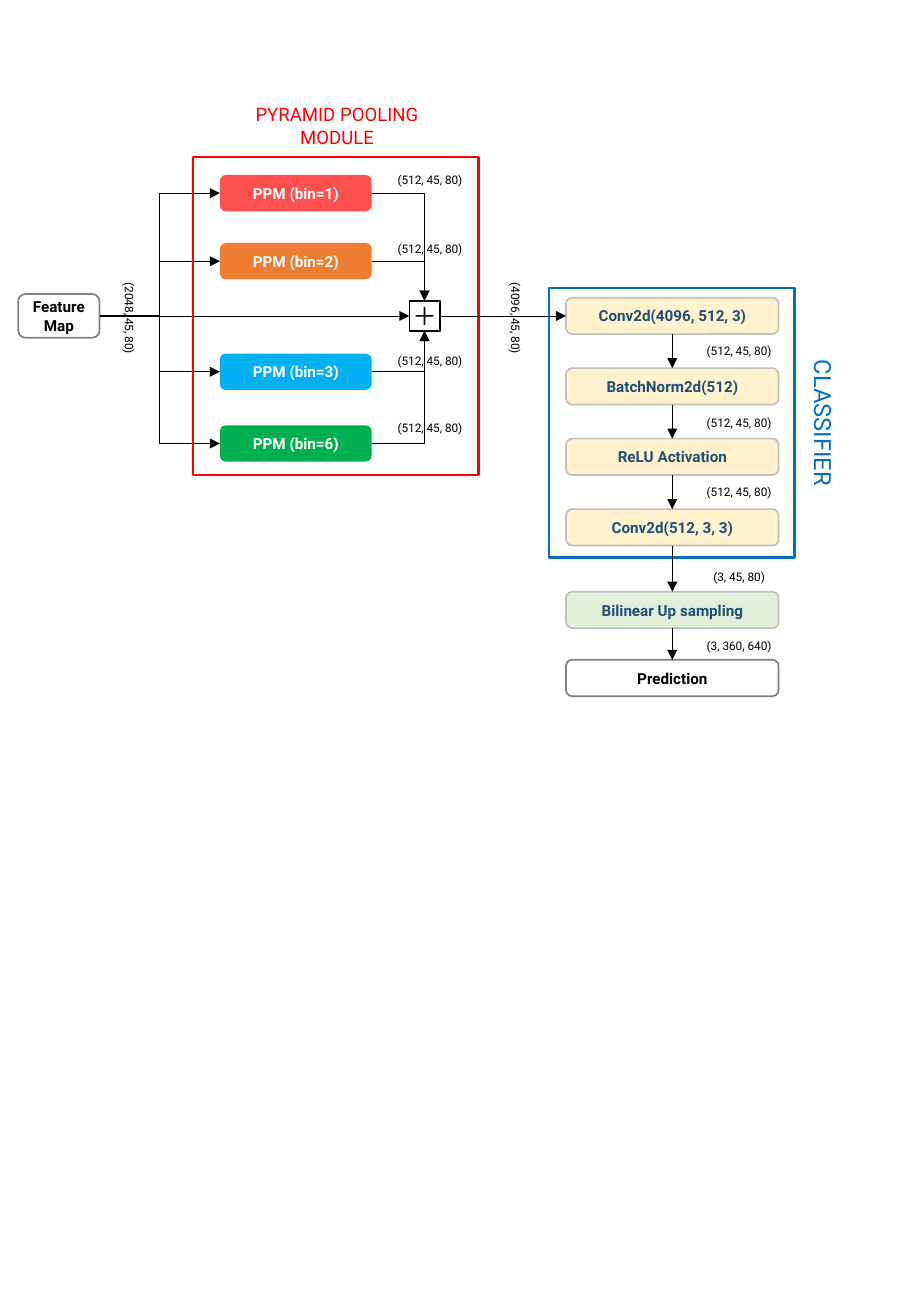
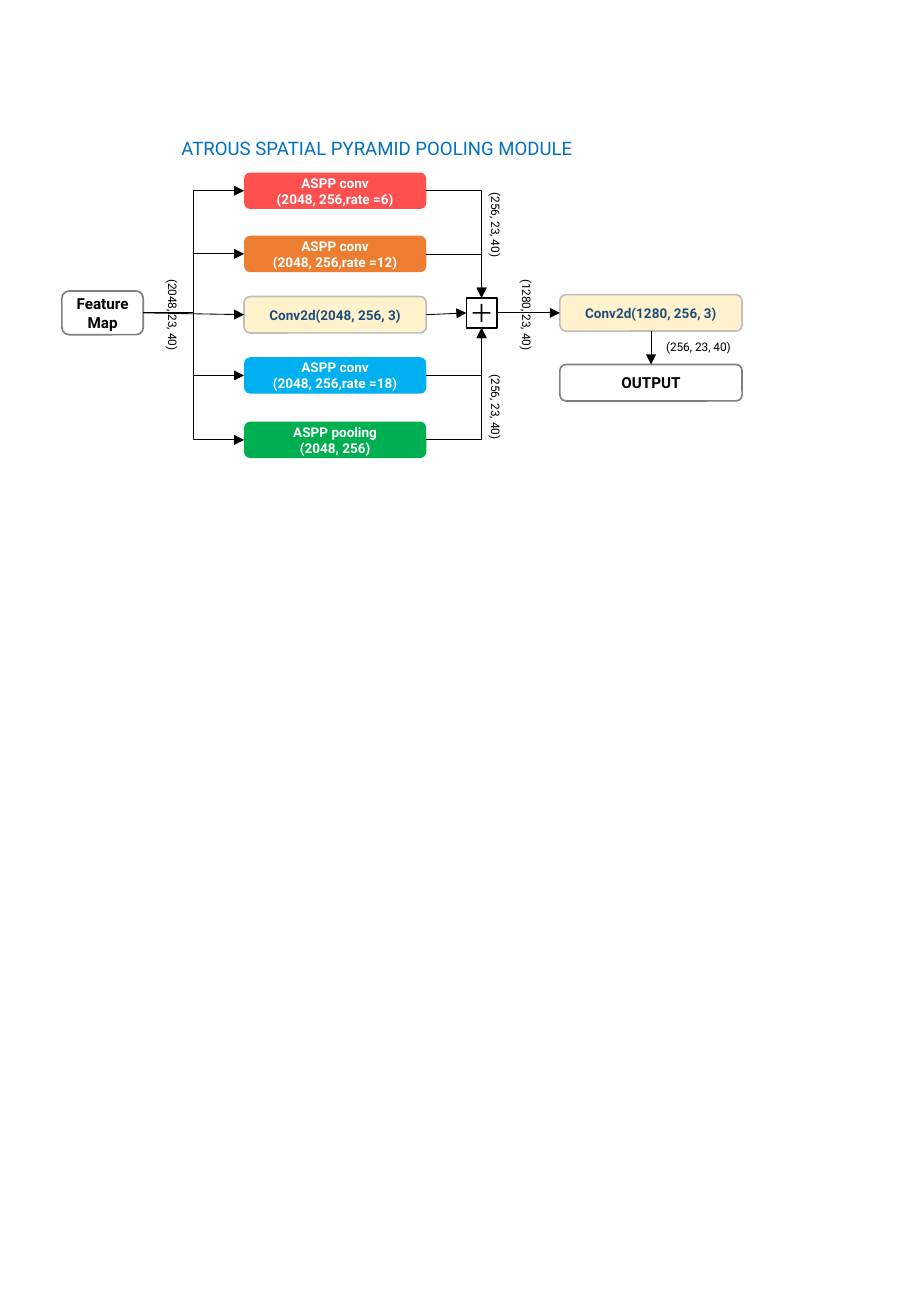
from dataclasses import dataclass

from lxml.etree import SubElement
from pptx import Presentation
from pptx.dml.color import RGBColor
from pptx.enum.shapes import MSO_CONNECTOR, MSO_SHAPE
from pptx.enum.text import MSO_ANCHOR, MSO_AUTO_SIZE, PP_ALIGN
from pptx.oxml.ns import qn
from pptx.util import Inches, Pt

# The page is a grid of square cells, 75 columns by 108.3 rows
CELL = Inches(0.1)
PAGE_COLUMNS, PAGE_ROWS = 75, 108.3
BLOCK_ROWS = 3
LABEL_ROWS = 2.2

# Connection sites of rectangles
TOP, LEFT, BOTTOM, RIGHT = range(4)


@dataclass(frozen=True)
class BlockStyle:
    fill: str | None
    line: str | None
    ink: str


class Theme:
    font = "Roboto"
    black, red, blue = "000000", "FF0000", "0070C0"
    small, compact, body, heading, large = 7, 8, 9, 11, 14
    thin, medium, thick = 0.5, 1, 1.5
    plain = BlockStyle(None, "808080", black)
    layer = BlockStyle("FFF2CC", "BFBFBF", "1F4E79")
    upsampling = BlockStyle("E2F0D9", "BFBFBF", "1F4E79")
    branches = [BlockStyle(fill, None, "FFFFFF")
                for fill in ("FF5050", "ED7D31", "00B0F0", "00B050")]


@dataclass(frozen=True)
class Box:
    """A rectangle in grid columns and rows."""
    column: float
    row: float
    columns: float
    rows: float

    def area(self, column, row, columns, rows):
        return Box(self.column + column, self.row + row, columns, rows)

    def frame(self):
        return [round(cells * CELL)
                for cells in (self.column, self.row, self.columns, self.rows)]


# Basic parts

def write(text_frame, text, size, color, bold=False):
    text_frame.word_wrap = True
    text_frame.text = text
    for para in text_frame.paragraphs:
        para.alignment = PP_ALIGN.CENTER
        para.font.name = Theme.font
        para.font.size = Pt(size)
        para.font.bold = bold
        para.font.color.rgb = RGBColor.from_string(color)


def add_outline(page, box, preset, fill=None, line=None, width=Theme.medium):
    shape = page.shapes.add_shape(preset, *box.frame())
    shape.shadow.inherit = False
    if fill:
        shape.fill.solid()
        shape.fill.fore_color.rgb = RGBColor.from_string(fill)
    else:
        shape.fill.background()
    if line:
        shape.line.color.rgb = RGBColor.from_string(line)
        shape.line.width = Pt(width)
    else:
        shape.line.fill.background()
    return shape


def add_block(page, box, text, style, size=Theme.body):
    block = add_outline(page, box, MSO_SHAPE.ROUNDED_RECTANGLE, style.fill, style.line)
    text_frame = block.text_frame
    text_frame.margin_left = text_frame.margin_right = Inches(0.06)
    text_frame.margin_top = text_frame.margin_bottom = Inches(0.03)
    text_frame.vertical_anchor = MSO_ANCHOR.MIDDLE
    write(text_frame, text, size, style.ink, bold=True)
    return block


def add_label(page, box, text, size=Theme.small, color=Theme.black, rotation=0):
    label = page.shapes.add_textbox(*box.frame())
    label.rotation = rotation
    write(label.text_frame, text, size, color)
    label.text_frame.auto_size = MSO_AUTO_SIZE.SHAPE_TO_FIT_TEXT


def add_arrow(page, source, source_site, target, target_site,
              kind=MSO_CONNECTOR.STRAIGHT, single_bend=False):
    arrow = page.shapes.add_connector(kind, 0, 0, 0, 0)
    arrow.begin_connect(source, source_site)
    arrow.end_connect(target, target_site)
    arrow.line.color.rgb = RGBColor.from_string(Theme.black)
    arrow.line.width = Pt(Theme.thin)
    properties = arrow._element.spPr
    if single_bend:
        properties.find(qn("a:prstGeom")).set("prst", "bentConnector2")
    SubElement(properties.find(qn("a:ln")), qn("a:tailEnd"), type="triangle")
    SubElement(properties, qn("a:effectLst"))


# Parts that both diagrams share

def add_feature_map(page, box):
    return add_block(page, box, "Feature Map", Theme.plain)


def add_sum(page, box):
    square = add_outline(page, box, MSO_SHAPE.RECTANGLE, line=Theme.black)
    plus = add_outline(page, box.area(0.25, 0.25, 2, 2), MSO_SHAPE.MATH_PLUS, Theme.black)
    plus.adjustments[0] = 0.07
    return square


def add_branches(page, box, rows, texts, size, feature_map, total):
    """Stack the branches, fed by the feature map and joined in the sum."""
    for row, text, style in zip(rows, texts, Theme.branches):
        branch = add_block(page, box.area(0, row, box.columns, BLOCK_ROWS),
                           text, style, size)
        add_arrow(page, feature_map, RIGHT, branch, LEFT, MSO_CONNECTOR.ELBOW)
        site = TOP if branch.top < total.top else BOTTOM
        add_arrow(page, branch, RIGHT, total, site, MSO_CONNECTOR.ELBOW, single_bend=True)


def add_chain(page, box, steps, previous=None):
    """Stack (row, text, style, size) blocks, joined by arrows."""
    blocks = []
    for row, text, style, size in steps:
        block = add_block(page, box.area(0, row, box.columns, BLOCK_ROWS),
                          text, style, size)
        if previous:
            add_arrow(page, previous, BOTTOM, block, TOP)
        blocks.append(block)
        previous = block
    return blocks


# Regions of the pyramid pooling page

def add_pyramid_pooling(page, box, feature_map):
    total = add_sum(page, box.area(17.8, 11.85, 2.5, 2.5))
    rows = (1.5, 7.1, 16.2, 22.1)
    texts = [f"PPM (bin={size})" for size in (1, 2, 3, 6)]
    add_branches(page, box.area(2.2, 0, 12.5, box.rows), rows, texts,
                 Theme.body, feature_map, total)
    add_arrow(page, feature_map, RIGHT, total, LEFT)
    for row in (0.8, 6.5, 15.7, 21.2):
        add_label(page, box.area(15.5, row, 8, LABEL_ROWS), "(512, 45, 80)")
    add_outline(page, box, MSO_SHAPE.RECTANGLE, line=Theme.red, width=Theme.thick)
    add_label(page, box.area(3.4, -4.9, 16.9, 4.7), "PYRAMID POOLING MODULE",
              Theme.heading, Theme.red)
    return total


def add_classifier(page, box):
    texts = ("Conv2d(4096, 512, 3)", "BatchNorm2d(512)", "ReLU Activation",
             "Conv2d(512, 3, 3)")
    steps = [(0.8 + 5.8 * index, text, Theme.layer, Theme.body)
             for index, text in enumerate(texts)]
    blocks = add_chain(page, box.area(1.4, 0, 17.5, box.rows), steps)
    for row in (4.1, 10, 15.7):
        add_label(page, box.area(11, row, 9.3, LABEL_ROWS), "(512, 45, 80)")
    add_outline(page, box, MSO_SHAPE.RECTANGLE, line=Theme.blue, width=Theme.thick)
    add_label(page, box.area(14.1, 9.4, 16.9, 3.4), "CLASSIFIER",
              Theme.large, Theme.blue, rotation=90)
    return blocks[0], blocks[-1]


def add_prediction(page, box, previous):
    add_chain(page, box, [(0, "Bilinear Up sampling", Theme.upsampling, Theme.body),
                          (5.6, "Prediction", Theme.plain, Theme.body)], previous)
    for row, text in ((-2.3, "(3, 45, 80)"), (3.4, "(3, 360, 640)")):
        add_label(page, box.area(9.6, row, 9.3, LABEL_ROWS), text)


def build_pyramid_page(page, box):
    feature_map = add_feature_map(page, box.area(1.5, 24.2, 6.7, 3.6))
    total = add_pyramid_pooling(page, box.area(15.9, 12.9, 23.5, 26.2), feature_map)
    first, last = add_classifier(page, box.area(45.2, 23.7, 20.2, 22.2))
    add_arrow(page, total, RIGHT, first, LEFT)
    add_prediction(page, box.area(46.6, 48.7, 17.5, 8.6), last)
    for column, text in ((6.1, "(2048, 45, 80)"), (37.9, "(4096, 45, 80)")):
        add_label(page, box.area(column, 25.1, 9.1, LABEL_ROWS), text, rotation=90)


# Regions of the atrous pooling page

def add_atrous_pooling(page, box, feature_map):
    total = add_sum(page, box.area(18.3, 10.3, 2.5, 2.5))
    texts = [f"ASPP conv\n(2048, 256,rate ={rate})" for rate in (6, 12, 18)]
    texts.append("ASPP pooling\n(2048, 256)")
    add_branches(page, box.area(0, 0, 15, box.rows), (0, 5.2, 15.2, 20.5), texts,
                 Theme.compact, feature_map, total)
    convolution = add_block(page, box.area(0, 10.2, 15, BLOCK_ROWS),
                            "Conv2d(2048, 256, 3)", Theme.layer, Theme.compact)
    add_arrow(page, feature_map, RIGHT, convolution, LEFT)
    add_arrow(page, convolution, RIGHT, total, LEFT)
    for row in (3.2, 18.2):
        add_label(page, box.area(16.5, row, 8.4, LABEL_ROWS), "(256, 23, 40)", rotation=90)
    add_label(page, box.area(-9.5, -3.4, 40.9, 2.9),
              "ATROUS SPATIAL PYRAMID POOLING MODULE", Theme.heading, Theme.blue)
    return total


def add_output(page, box):
    blocks = add_chain(page, box, [
        (0, "Conv2d(1280, 256, 3)", Theme.layer, Theme.compact),
        (5.75, "OUTPUT", Theme.plain, Theme.body)])
    add_label(page, box.area(7.4, 3.25, 8, LABEL_ROWS), "(256, 23, 40)")
    return blocks[0]


def build_atrous_page(page, box):
    feature_map = add_feature_map(page, box.area(5.1, 23.95, 6.7, 3.6))
    total = add_atrous_pooling(page, box.area(20.1, 14.2, 20.8, 23.5), feature_map)
    convolution = add_output(page, box.area(46.1, 24.25, 15, 8.75))
    add_arrow(page, total, RIGHT, convolution, LEFT)
    for column, columns, text in ((9.3, 9.8, "(2048, 23, 40)"),
                                  (38.8, 9.1, "(1280, 23, 40)")):
        add_label(page, box.area(column, 24.8, columns, LABEL_ROWS), text, rotation=90)


def main():
    deck = Presentation()
    page_box = Box(0, 0, PAGE_COLUMNS, PAGE_ROWS)
    deck.slide_width, deck.slide_height = page_box.frame()[2:]
    blank = deck.slide_layouts[6]
    for build in (build_pyramid_page, build_atrous_page):
        build(deck.slides.add_slide(blank), page_box)
    deck.save("out.pptx")


if __name__ == "__main__":
    main()
